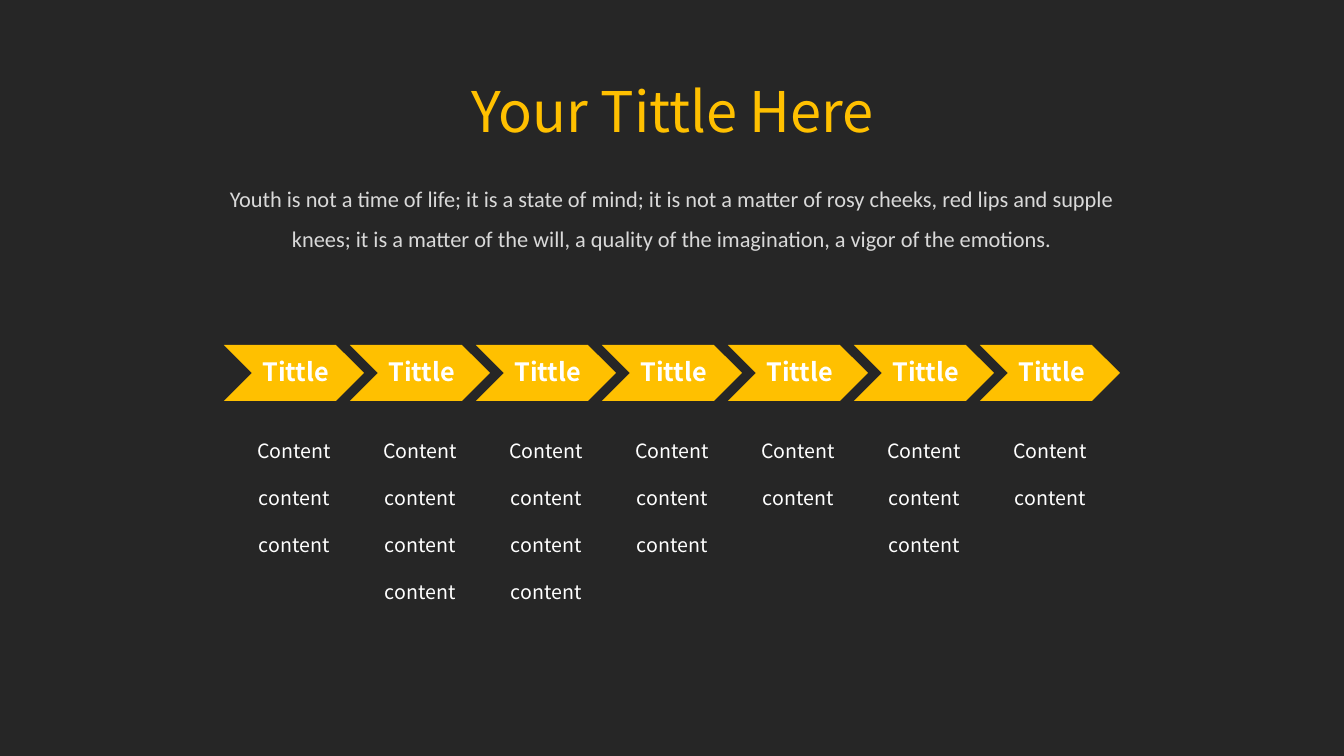
from pptx import Presentation
from pptx.dml.color import RGBColor
from pptx.enum import shapes, text
from pptx.util import Pt

TITLE = "Your Tittle Here"
INTRO = ("Youth is not a time of life; it is a state of mind; it is not a matter of "
         "rosy cheeks, red lips and supple knees; it is a matter of the will, a quality "
         "of the imagination, a vigor of the emotions.")
STEPS = [
    ("Tittle", ["Content", "content", "content"]),
    ("Tittle", ["Content", "content", "content", "content"]),
    ("Tittle", ["Content", "content", "content", "content"]),
    ("Tittle", ["Content", "content", "content"]),
    ("Tittle", ["Content", "content"]),
    ("Tittle", ["Content", "content", "content"]),
    ("Tittle", ["Content", "content"]),
]

DARK, GOLD, WHITE, GREY = "262626", "FFC000", "FFFFFF", "D9D9D9"
SANS, BODY = "Noto Sans CJK SC", "Calibri"

STEP_LEFT, STEP_TOP, STEP_PITCH = 160, 246.4, 90
STEP_W, STEP_H = 100, 40
LIST_TOP, LIST_W, LIST_INDENT = 293, 89.3, 5.6
LIST_BASE, LIST_LINE = 41, 34


def rgb(value):
    return RGBColor.from_string(value)


def write(tf, lines, size, color, font=SANS, bold=False, spacing=1.0):
    """Fill a text frame with centred paragraphs of one style."""
    tf.word_wrap = True
    for i, line in enumerate(lines):
        p = tf.add_paragraph() if i else tf.paragraphs[0]
        p.text = line
        p.alignment = text.PP_ALIGN.CENTER
        p.line_spacing = spacing
        p.font.name, p.font.size, p.font.bold = font, Pt(size), bold
        p.font.color.rgb = rgb(color)


def add_text(s, left, top, width, height, lines, size, color, **style):
    box = s.shapes.add_textbox(Pt(left), Pt(top), Pt(width), Pt(height))
    write(box.text_frame, lines, size, color, **style)
    box.text_frame.auto_size = text.MSO_AUTO_SIZE.SHAPE_TO_FIT_TEXT


def add_step(s, left, label):
    sp = s.shapes.add_shape(shapes.MSO_SHAPE.CHEVRON, Pt(left), Pt(STEP_TOP),
                            Pt(STEP_W), Pt(STEP_H))
    sp.shadow.inherit = False
    sp.fill.solid()
    sp.fill.fore_color.rgb = rgb(GOLD)
    sp.line.fill.background()
    tf = sp.text_frame
    tf.margin_left, tf.margin_right = Pt(4), Pt(1.5)
    tf.margin_top = tf.margin_bottom = Pt(1.5)
    tf.vertical_anchor = text.MSO_ANCHOR.MIDDLE
    write(tf, [label], 18, WHITE, bold=True, spacing=0.9)


def main():
    prs = Presentation()
    prs.slide_width, prs.slide_height = Pt(960), Pt(540)
    s = prs.slides.add_slide(prs.slide_layouts[6])
    s.background.fill.solid()
    s.background.fill.fore_color.rgb = rgb(DARK)

    add_text(s, 318, 51, 324.7, 55.4, [TITLE], 40, GOLD)
    add_text(s, 139, 118.8, 681.8, 65.5, [INTRO], 16, GREY, font=BODY, spacing=1.5)
    for i, (label, lines) in enumerate(STEPS):
        left = STEP_LEFT + i * STEP_PITCH
        add_step(s, left, label)
        add_text(s, left + LIST_INDENT, LIST_TOP, LIST_W,
                 LIST_BASE + LIST_LINE * len(lines), lines, 14, WHITE, spacing=2.0)
    prs.save("out.pptx")


if __name__ == "__main__":
    main()
